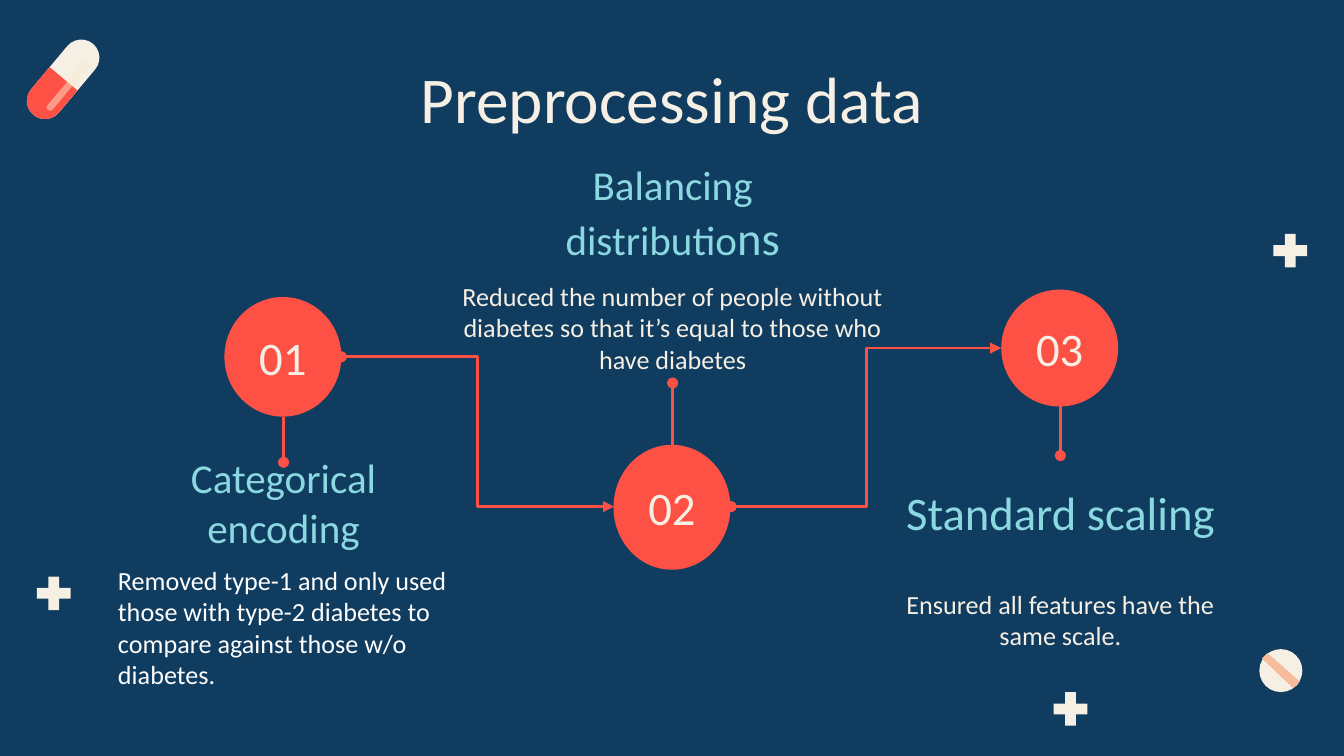
from pptx import Presentation
from pptx.dml.color import RGBColor
from pptx.enum.shapes import MSO_CONNECTOR, MSO_SHAPE
from pptx.enum.text import MSO_ANCHOR, PP_ALIGN
from pptx.oxml.ns import qn
from pptx.util import Pt
from lxml.etree import SubElement

PX = 4572
FONT = "Calibri"
INSET = 20
DISC_W = 174
COLORS = {
    "navy": "103C60",
    "cream": "F6EFE4",
    "coral": "FE5145",
    "aqua": "8CD8E1",
    "white": "FFFFFF",
    "peach": "F6BC9B",
    "shine": "FAE9CD",
}


def px(*values):
    return [v * PX for v in values]


def color(name):
    return RGBColor.from_string(COLORS[name])


def paint(sp, fill):
    sp.shadow.inherit = False
    sp.fill.solid()
    sp.fill.fore_color.rgb = color(fill)
    sp.line.fill.background()
    return sp


def shape(s, kind, box, fill, rotation=0, adj=()):
    sp = paint(s.shapes.add_shape(kind, *px(*box)), fill)
    sp.rotation = rotation
    for i, value in enumerate(adj):
        sp.adjustments[i] = value
    return sp


def write(sp, lines, size, fill, align=PP_ALIGN.CENTER, anchor=MSO_ANCHOR.MIDDLE, inset=INSET):
    tf = sp.text_frame
    tf.word_wrap = True
    tf.vertical_anchor = anchor
    tf.margin_left = tf.margin_right = tf.margin_top = tf.margin_bottom = inset * PX
    for i, runs in enumerate(lines):
        p = tf.add_paragraph() if i else tf.paragraphs[0]
        p.alignment = align
        p.font.name = FONT
        p.font.size = Pt(size)
        p.font.color.rgb = color(fill)
        for text, run_size in runs:
            r = p.add_run()
            r.text = text
            if run_size != size:
                r.font.size = Pt(run_size)


def text(s, box, lines, size, fill, **options):
    write(s.shapes.add_textbox(*px(*box)), lines, size, fill, **options)


def connector(s, kind, start, end, head=None, tail=None):
    c = s.shapes.add_connector(kind, *px(*start, *end))
    c.line.color.rgb = color("coral")
    c.line.width = Pt(1.5)
    ln = c.line._get_or_add_ln()
    for tag, tip in (("a:headEnd", head), ("a:tailEnd", tail)):
        if tip:
            SubElement(ln, qn(tag), type=tip)
    SubElement(c._element.spPr, qn("a:effectLst"))


def plus(s, x, y):
    shape(s, MSO_SHAPE.CROSS, (x, y, 50, 50), "cream", adj=[0.34])


def tablet(s, x, y):
    shape(s, MSO_SHAPE.OVAL, (x, y, 64, 64), "cream")
    band = [(4, 14), (12, 6), (60, 48), (56, 54), (50, 58)]
    points = [(x + dx, y + dy) for dx, dy in band]
    builder = s.shapes.build_freeform(*points[0], scale=PX)
    builder.add_line_segments(points[1:], close=True)
    paint(builder.convert_to_shape(), "peach")


def capsule(s, x, y):
    shape(s, MSO_SHAPE.ROUNDED_RECTANGLE, (x + 27, y - 11, 54, 138), "cream", 220, [0.5])
    shape(s, MSO_SHAPE.ROUND_2_SAME_RECTANGLE, (x + 5, y + 49, 54, 70), "coral", 220, [0.5, 0])
    shine = shape(s, MSO_SHAPE.ROUNDED_RECTANGLE, (x + 57, y + 19, 10, 96), "shine", 40, [0.5])
    rgb = shine._element.spPr.find(qn("a:solidFill")).find(qn("a:srgbClr"))
    SubElement(rgb, qn("a:alpha"), val="49000")


def step(s, box, number, heading, heading_size, body, disc, stem, head, note,
         body_color="cream", align=PP_ALIGN.CENTER):
    x, y, w = box
    middle = x + w // 2
    text(s, (x, y + head[0], w, head[1]), heading, heading_size, "aqua")
    text(s, (x, y + note[0], w, note[1]), [[(body, 14)]], 14, body_color, align=align)
    connector(s, MSO_CONNECTOR.STRAIGHT, (middle, y + stem[0]), (middle, y + stem[1]), tail="oval")
    left = middle - DISC_W // 2 - 1
    sp = shape(s, MSO_SHAPE.OVAL, (left, y + disc[0], DISC_W, disc[1]), "coral")
    write(sp, [[(number, 25)]], 25, "cream", inset=0)


def decorations(s):
    for x, y in ((1895, 348), (1568, 1030), (55, 858)):
        plus(s, x, y)
    tablet(s, 1874, 966)
    capsule(s, 40, 60)


def process(s):
    for start, end in (((508, 531), (914, 754)), ((1088, 754), (1490, 518))):
        connector(s, MSO_CONNECTOR.ELBOW, start, end, head="oval", tail="triangle")
    step(s, (156, 442, 532), "01", [[("Categorical encoding", 22)]], 22,
         "Removed type-1 and only used those with type-2 diabetes to compare against those w/o diabetes.",
         disc=(0, 178), stem=(178, 246), head=(246, 118), note=(432, 118),
         body_color="white", align=PP_ALIGN.LEFT)
    step(s, (650, 258, 702), "02", [[("Balancing", 22)], [("distributio", 22), ("ns", 25)]], 22,
         "Reduced the number of people without diabetes so that it’s equal to those who have diabetes",
         disc=(404, 186), stem=(426, 312), head=(0, 115), note=(168, 122))
    step(s, (1312, 431, 532), "03", [[("Standard scaling", 25)]], 25,
         "Ensured all features have the same scale.",
         disc=(0, 174), stem=(153, 247), head=(268, 126), note=(434, 114))


def main():
    prs = Presentation()
    prs.slide_width, prs.slide_height = px(2000, 1125)
    s = prs.slides.add_slide(prs.slide_layouts[6])
    s.background.fill.solid()
    s.background.fill.fore_color.rgb = color("navy")
    decorations(s)
    text(s, (156, 66, 1688, 126), [[("Preprocessing data", 35)]], 35, "cream", anchor=MSO_ANCHOR.TOP)
    process(s)
    prs.save("out.pptx")


if __name__ == "__main__":
    main()
